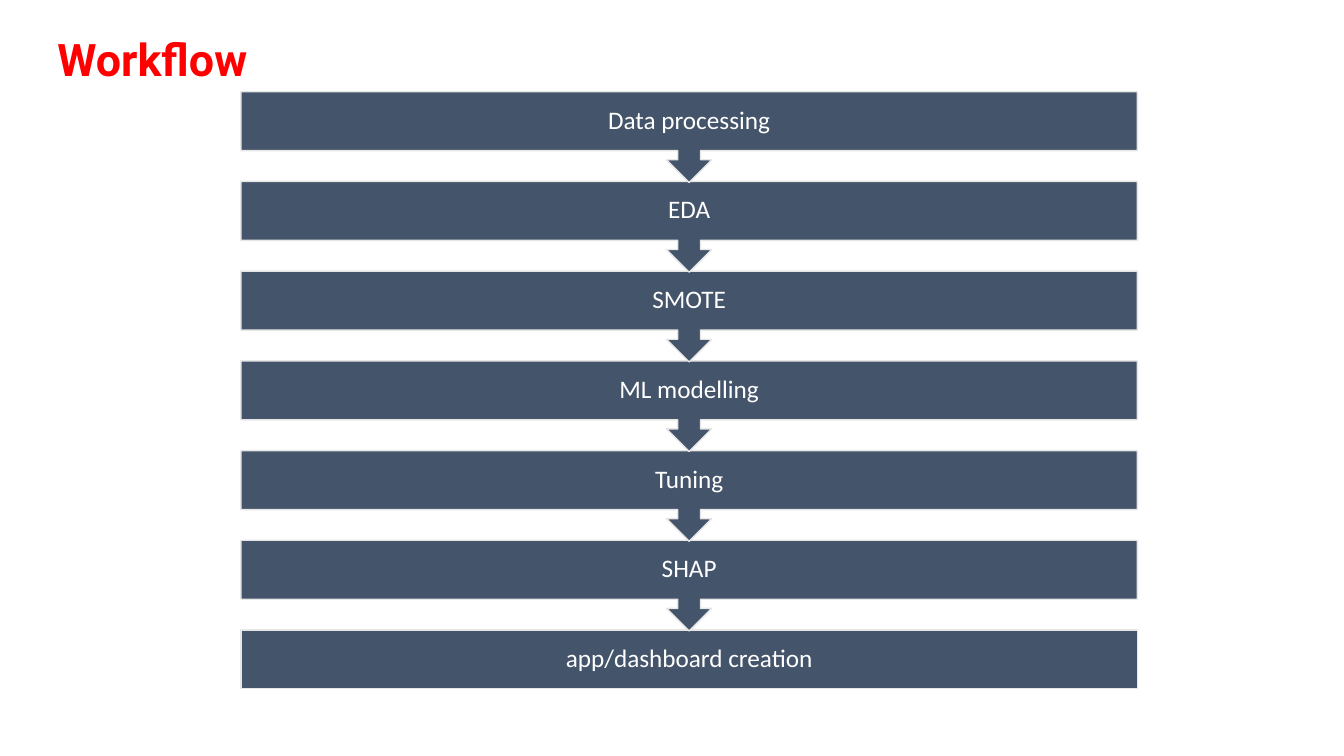
"""Build the Workflow slide: a vertical chain of process steps."""
from dataclasses import dataclass

from pptx import Presentation
from pptx.dml.color import RGBColor
from pptx.enum.shapes import MSO_SHAPE
from pptx.enum.text import MSO_ANCHOR, MSO_AUTO_SIZE, PP_ALIGN
from pptx.shapes.group import GroupShape
from pptx.text.text import Font
from pptx.util import Inches, Pt

SLATE = RGBColor(0x44, 0x54, 0x6A)
PALE_GREY = RGBColor(0xE7, 0xE6, 0xE6)
WHITE = RGBColor(0xFF, 0xFF, 0xFF)
RED = RGBColor(0xFF, 0x00, 0x00)

STEP_LEFT, STEP_WIDTH = 2.39, 8.89
FIRST_TOP, STEP_PITCH = 0.91, 0.89
BOX_HEIGHT, CALLOUT_HEIGHT = 0.58, 0.9
LABEL_INSET = 0.14

STEP_NAMES = (
    "Data processing",
    "EDA",
    "SMOTE",
    "ML modelling",
    "Tuning",
    "SHAP",
    "app/dashboard creation",
)


@dataclass(frozen=True)
class Step:
    name: str
    top: float
    is_last: bool


def style_font(font: Font, name: str, size: int, color: RGBColor, bold: bool = False) -> None:
    font.name = name
    font.size = Pt(size)
    font.bold = bold
    font.color.rgb = color


def draw_box(group: GroupShape, step: Step) -> None:
    kind = MSO_SHAPE.RECTANGLE if step.is_last else MSO_SHAPE.UP_ARROW_CALLOUT
    height = BOX_HEIGHT if step.is_last else CALLOUT_HEIGHT
    shape = group.shapes.add_shape(
        kind, Inches(STEP_LEFT), Inches(step.top), Inches(STEP_WIDTH), Inches(height)
    )
    shape.rotation = 0 if step.is_last else 180
    shape.shadow.inherit = False
    shape.fill.solid()
    shape.fill.fore_color.rgb = SLATE
    shape.line.color.rgb = PALE_GREY
    shape.line.width = Pt(1)


def draw_label(group: GroupShape, step: Step) -> None:
    label = group.shapes.add_textbox(
        Inches(STEP_LEFT), Inches(step.top), Inches(STEP_WIDTH), Inches(BOX_HEIGHT)
    )
    text_frame = label.text_frame
    text_frame.word_wrap = True
    text_frame.vertical_anchor = MSO_ANCHOR.MIDDLE
    text_frame.margin_left = text_frame.margin_right = Inches(LABEL_INSET)
    text_frame.margin_top = text_frame.margin_bottom = Inches(LABEL_INSET)
    text_frame.text = step.name
    paragraph = text_frame.paragraphs[0]
    paragraph.alignment = PP_ALIGN.CENTER
    paragraph.line_spacing = 0.9
    style_font(paragraph.runs[0].font, "Calibri", 18, WHITE)


def main() -> None:
    presentation = Presentation()
    presentation.slide_width = Inches(13.33)
    presentation.slide_height = Inches(7.5)
    slide = presentation.slides.add_slide(presentation.slide_layouts[6])

    steps = [
        Step(name, FIRST_TOP + index * STEP_PITCH, index == len(STEP_NAMES) - 1)
        for index, name in enumerate(STEP_NAMES)
    ]
    workflow = slide.shapes.add_group_shape()
    for step in reversed(steps):
        draw_box(workflow, step)
        draw_label(workflow, step)

    title = slide.shapes.add_textbox(Inches(0.47), Inches(0.27), Inches(4.04), Inches(0.64))
    title.text_frame.word_wrap = True
    title.text_frame.auto_size = MSO_AUTO_SIZE.SHAPE_TO_FIT_TEXT
    title.text_frame.text = "Workflow"
    style_font(title.text_frame.paragraphs[0].runs[0].font, "Roboto", 32, RED, bold=True)

    presentation.save("out.pptx")


if __name__ == "__main__":
    main()
